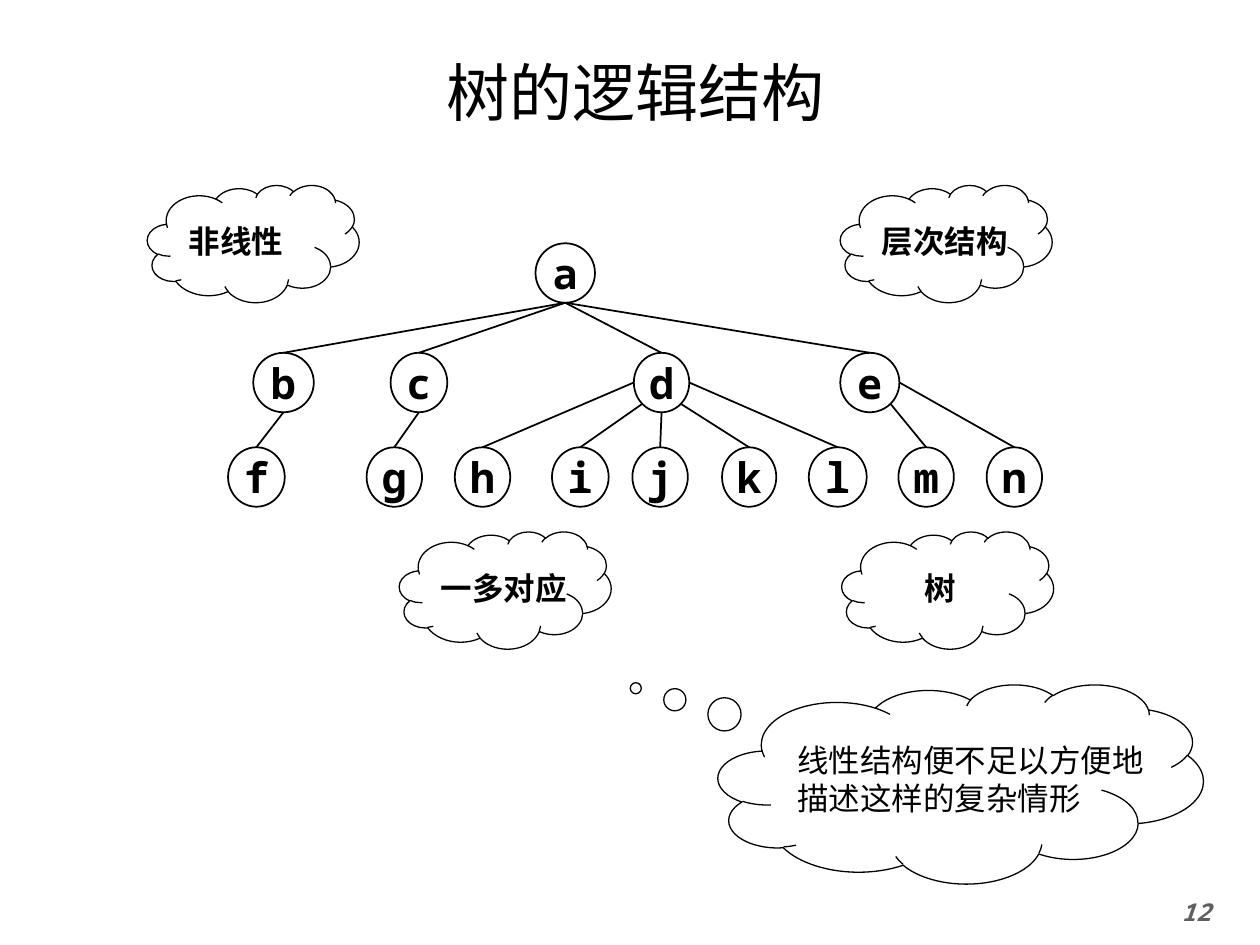
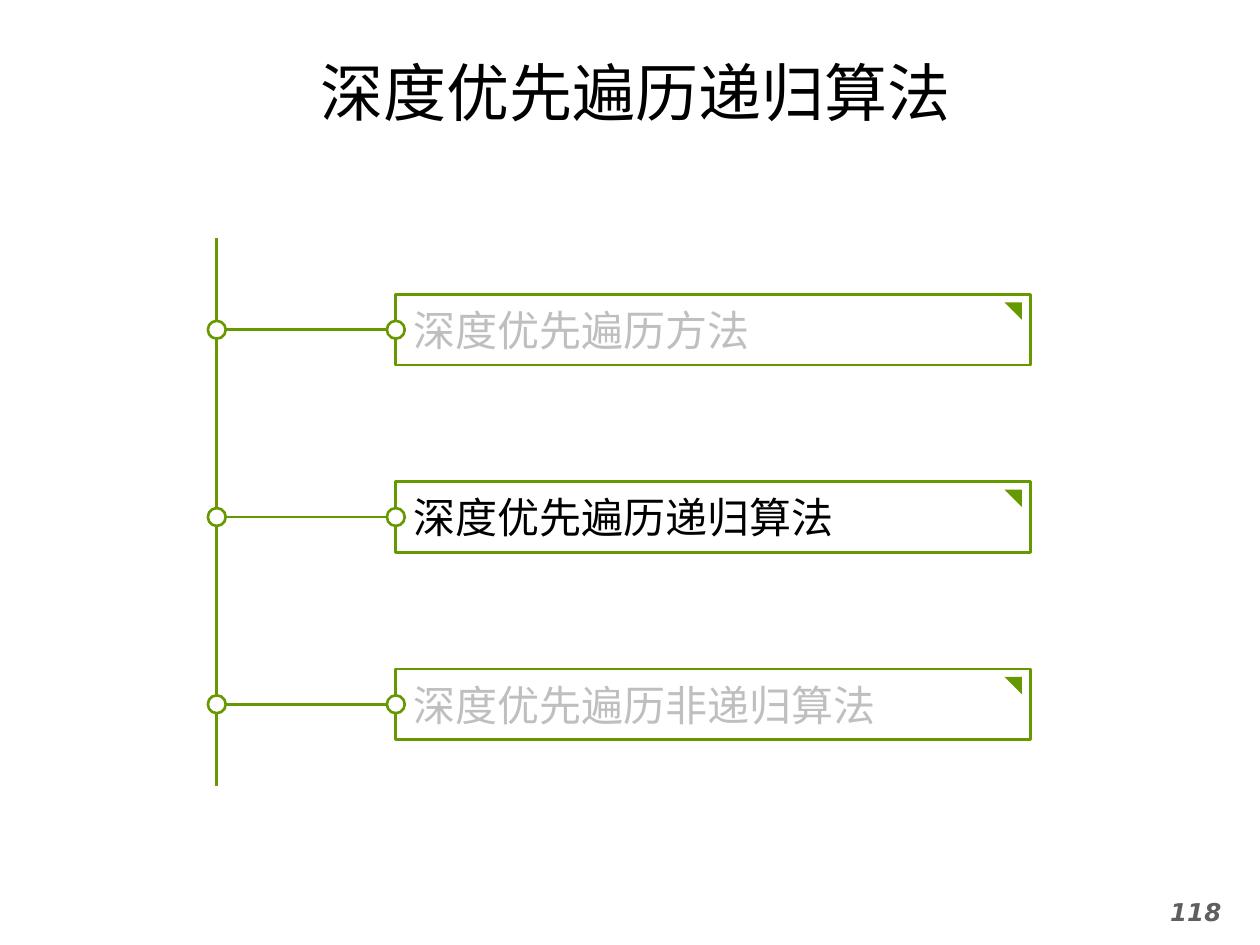
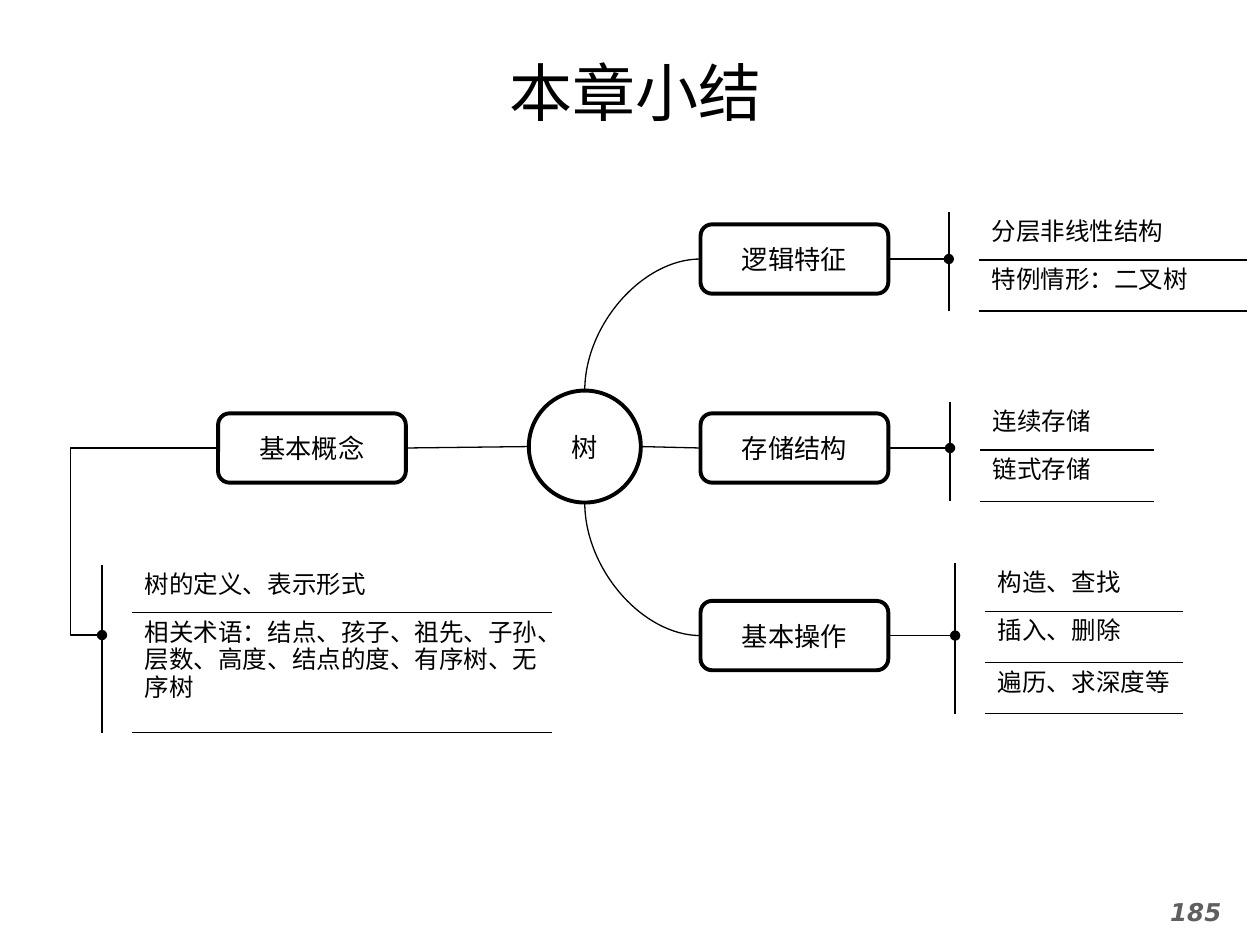
"""Builds three slides on trees: structure, traversal agenda and chapter summary."""
from lxml.etree import SubElement
from pptx import Presentation
from pptx.dml.color import RGBColor
from pptx.enum.shapes import MSO_CONNECTOR as LINE, MSO_SHAPE as FORM
from pptx.enum.text import MSO_ANCHOR as ANCHOR, PP_ALIGN as ALIGN
from pptx.oxml.ns import qn
from pptx.util import Pt

BLACK, WHITE, GREEN = "000000", "FFFFFF", "669900"
GREY, PALE = "5F5F5F", "BFBFBF"
MONO, SANS, HAN, KANJI = "Noto Sans Mono", "DejaVu Sans", "Noto Sans CJK SC", "Noto Sans CJK JP"
PLAIN = "{2D5ABB26-0587-4C30-8999-92F81FD0307C}"
rgb = RGBColor.from_string


def write(frame, text, size, face, color=BLACK, align=ALIGN.CENTER, bold=False, wrap=True):
    frame.text = text
    frame.word_wrap = wrap
    for para in frame.paragraphs:
        para.alignment = align
        font = para.font
        font.size, font.name, font.bold = Pt(size), face, bold
        font.color.rgb = rgb(color)
        SubElement(para._p.pPr.find(qn("a:defRPr")), qn("a:ea"), typeface=face)


def paint(item, width, edge=BLACK, fill=None):
    if fill:
        item.fill.solid()
        item.fill.fore_color.rgb = rgb(fill)
    item.line.color.rgb = rgb(edge)
    item.line.width = Pt(width)
    SubElement(item._element.spPr, qn("a:effectLst"))
    return item


deck = Presentation()
deck.slide_width, deck.slide_height = Pt(720), Pt(540)
pages = []
for name, face, number, digit in [
    ("树的逻辑结构", MONO, "12", MONO),
    ("深度优先遍历递归算法", KANJI, "118", SANS),
    ("本章小结", KANJI, "185", SANS),
]:
    page = deck.slides.add_slide(deck.slide_layouts[5])
    title = page.shapes.title
    title.left, title.top, title.width, title.height = Pt(19.4), Pt(27), Pt(687), Pt(50.4)
    title.text_frame.vertical_anchor = ANCHOR.MIDDLE
    write(title.text_frame, name, 36, face)
    foot = page.shapes.add_textbox(Pt(646.6), Pt(509), Pt(73.4), Pt(31))
    write(foot.text_frame, number, 14, digit, GREY, bold=True)
    foot.text_frame.paragraphs[0].font.italic = True
    pages.append(page.shapes)
tree, agenda, recap = pages

nodes = {}
for top, row in [
    (139, [("a", 306, 34)]),
    (201.6, [("b", 144.7, 34.6), ("c", 223.2, 32.4), ("d", 362.2, 31.7), ("e", 480.2, 33.8)]),
    (255.6, [("f", 130.3, 32.4), ("g", 209.5, 31.7), ("h", 259.9, 31.7), ("i", 315.4, 32.4),
             ("j", 361.4, 31.7), ("k", 412.6, 31), ("l", 462.2, 33.1), ("m", 513.4, 31.7),
             ("n", 563.8, 31.7)]),
]:
    for key, left, width in row:
        node = tree.add_shape(FORM.OVAL, Pt(left), Pt(top), Pt(width), Pt(34))
        paint(node, 1, fill=WHITE)
        write(node.text_frame, key, 24, MONO, bold=True, wrap=False)
        nodes[key] = node

spots = {"base": (0.5, 1), "left": (0, 0.5), "right": (1, 0.5),
         "low left": (0.15, 0.86), "low right": (0.85, 0.86)}
for head, kids, spot in [
    ("a", "bcde", "base"), ("b", "f", "base"), ("c", "g", "base"),
    ("d", "h", "left"), ("d", "i", "low left"), ("d", "j", "base"),
    ("d", "k", "low right"), ("d", "l", "right"),
    ("e", "m", "low right"), ("e", "n", "right"),
]:
    node = nodes[head]
    across, down = spots[spot]
    x, y = int(node.left + across * node.width), int(node.top + down * node.height)
    for kid in kids:
        edge = paint(tree.add_connector(LINE.STRAIGHT, x, y, x, y), 1)
        edge.end_connect(nodes[kid], 0)

for text, left, top, align in [
    ("层次结构", 480.2, 105.8, ALIGN.LEFT), ("一多对应", 228.2, 303.8, ALIGN.LEFT),
    ("非线性", 84.2, 105.8, ALIGN.LEFT), ("树", 481, 303.8, ALIGN.CENTER),
]:
    cloud = paint(tree.add_shape(FORM.CLOUD, Pt(left), Pt(top), Pt(121), Pt(67)), 0.75, fill=WHITE)
    write(cloud.text_frame, text, 18, MONO, align=align, bold=True, wrap=False)
thought = tree.add_shape(FORM.CLOUD_CALLOUT, Pt(410.4), Pt(391), Pt(277.2), Pt(113.8))
thought.adjustments[0], thought.adjustments[1] = -0.67, -0.48
paint(thought, 0.75, fill=WHITE)
write(thought.text_frame, "线性结构便不足以方便地\n描述这样的复杂情形", 18, MONO,
      align=ALIGN.LEFT, wrap=False)

paint(agenda.add_connector(LINE.STRAIGHT, Pt(123.9), Pt(136), Pt(123.9), Pt(449.3)), 1.5, GREEN)
for row, (text, color) in enumerate([
    ("深度优先遍历方法", PALE), ("深度优先遍历递归算法", BLACK), ("深度优先遍历非递归算法", PALE),
]):
    top = 168.3 + 107 * row
    mid = top + 20.15
    box = agenda.add_shape(FORM.RECTANGLE, Pt(226.1), Pt(top), Pt(362.9), Pt(40.3))
    paint(box, 1.5, GREEN, WHITE)
    frame = box.text_frame
    frame.margin_left, frame.margin_right = Pt(10.5), 0
    frame.margin_top = frame.margin_bottom = 0
    write(frame, text, 24, MONO, color, ALIGN.LEFT)
    flag = agenda.add_shape(FORM.RIGHT_TRIANGLE, Pt(574), Pt(top + 4.5), Pt(10), Pt(10))
    flag.rotation = 180
    paint(flag, 0.25, GREEN, GREEN).line.fill.background()
    link = paint(agenda.add_connector(LINE.STRAIGHT, Pt(226.1), Pt(mid), Pt(118.8), Pt(mid)),
                 1.5, GREEN)
    link.begin_connect(box, 1)
    for left in (118.8, 221.1):
        dot = agenda.add_shape(FORM.OVAL, Pt(left), Pt(mid - 5.1), Pt(10.2), Pt(10.2))
        paint(dot, 1.5, GREEN, WHITE)

hub = paint(recap.add_shape(FORM.OVAL, Pt(302.2), Pt(223.2), Pt(64), Pt(64)), 2.25, fill=WHITE)
write(hub.text_frame, "树", 15, HAN)
middle = hub.top + hub.height // 2
topics = [
    ("逻辑特征", 400.3, 128.2, 542.2, 121, 153.4, [27.5, 29.3],
     ["分层非线性结构", "特例情形：二叉树"]),
    ("存储结构", 400.3, 236.2, 542.9, 229.7, 99.4, [27.5, 29.3], ["连续存储", "链式存储"]),
    ("基本操作", 400.3, 343.4, 545.8, 321.8, 113, [27.5, 29.3, 29.3],
     ["构造、查找", "插入、删除", "遍历、求深度等"]),
    ("基本概念", 124.6, 236.2, 58.3, 322.6, 239.8, [27.5, 68.6],
     ["树的定义、表示形式", "相关术语：结点、孩子、祖先、子孙、层数、高度、结点的度、有序树、无序树"]),
]
for name, left, top, start, roof, width, rows, facts in topics:
    box = recap.add_shape(FORM.ROUNDED_RECTANGLE, Pt(left), Pt(top), Pt(107.3), Pt(39.6))
    paint(box, 2.25, fill=WHITE)
    write(box.text_frame, name, 15, HAN)
    west = box.left < hub.left
    y = box.top + box.height // 2

    if abs(y - middle) < Pt(10):
        x = hub.left if west else hub.left + hub.width
        spoke = paint(recap.add_connector(LINE.STRAIGHT, box.left, y, x, middle), 0.75)
        spoke.begin_connect(box, 3 if west else 1)
    else:
        x = hub.left + hub.width // 2
        site, rim = ("0", hub.top) if y < middle else ("4", hub.top + hub.height)
        spoke = paint(recap.add_connector(LINE.CURVE, box.left, y, x, rim), 0.75)
        spoke._element.spPr.find(qn("a:prstGeom")).set("prst", "curvedConnector2")
        spoke.begin_connect(box, 1)
        spoke.end_connect(hub, 0)
        spoke.end_y = rim
        spoke._element.find(".//" + qn("a:endCxn")).set("idx", site)

    if west:
        branch = paint(recap.add_connector(LINE.ELBOW, box.left, y, Pt(start), Pt(362.9)), 0.75)
        bends = branch._element.find(".//" + qn("a:avLst"))
        SubElement(bends, qn("a:gd"), name="adj1", fmla="val 127100")
        branch.begin_connect(box, 1)
    else:
        branch = paint(recap.add_connector(LINE.STRAIGHT, box.left, y, Pt(start), y), 0.75)
        branch.begin_connect(box, 3)
    SubElement(branch._element.find(".//" + qn("a:ln")), qn("a:tailEnd"), type="oval")

    grid = recap.add_table(len(facts), 2, Pt(start), Pt(roof), Pt(width + 16.6), Pt(sum(rows))).table
    grid.first_row = grid.horz_banding = False
    grid._tbl.tblPr.find(qn("a:tableStyleId")).text = PLAIN
    grid.columns[0].width, grid.columns[1].width = Pt(16.6), Pt(width)
    for line, (height, fact) in enumerate(zip(rows, facts)):
        grid.rows[line].height = Pt(height)
        blank, cell = grid.cell(line, 0), grid.cell(line, 1)
        blank.margin_top = blank.margin_bottom = 0
        write(cell.text_frame, fact, 14, "Arial", align=ALIGN.LEFT)
        for part, side in ((blank, "a:lnL"), (cell, "a:lnB")):
            rule = SubElement(part._tc.get_or_add_tcPr(), qn(side), w=str(Pt(1)))
            SubElement(SubElement(rule, qn("a:solidFill")), qn("a:srgbClr"), val=BLACK)
            part.fill.background()

deck.save("out.pptx")
